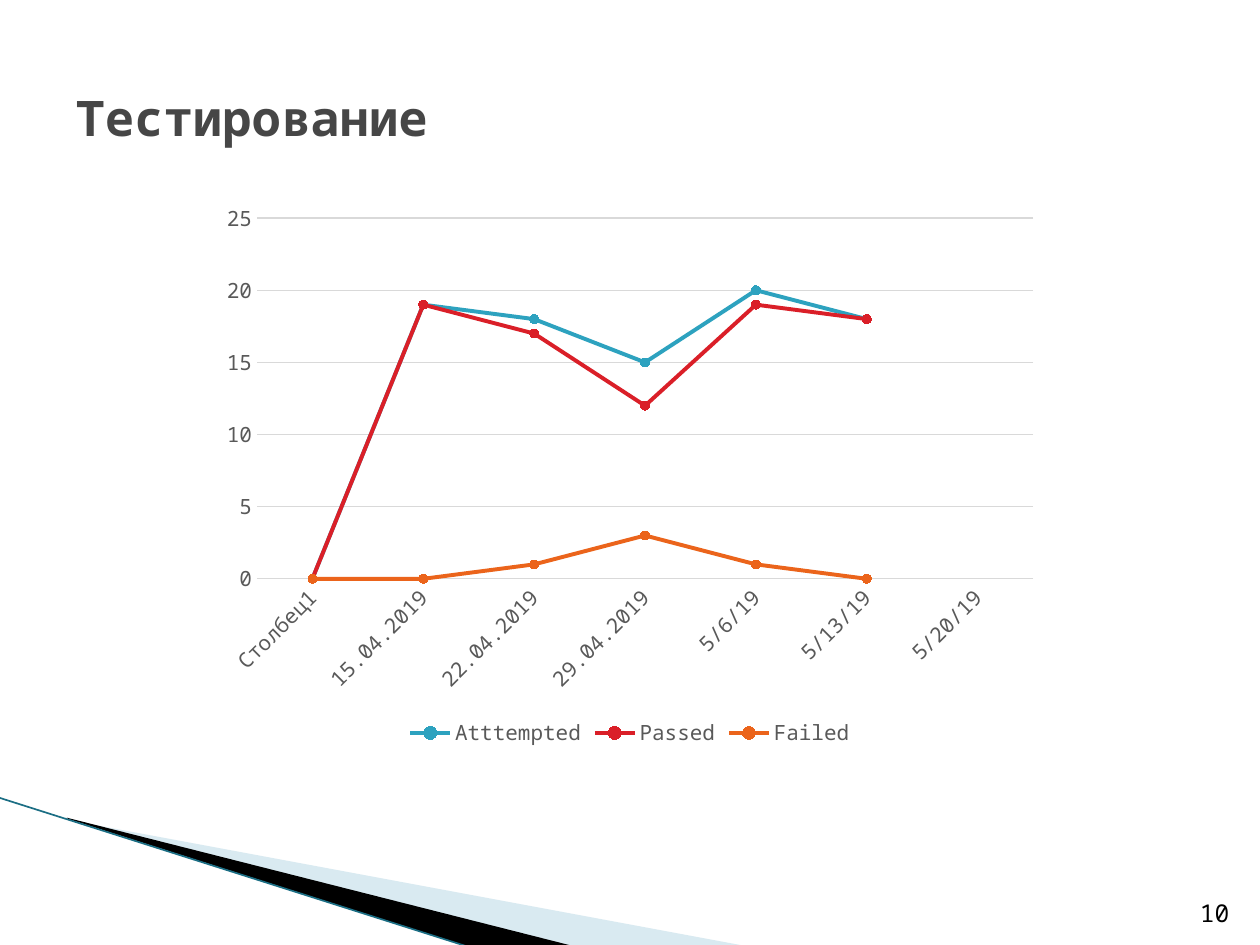
from dataclasses import dataclass

from lxml.etree import SubElement
from pptx import Presentation
from pptx.chart.data import CategoryChartData
from pptx.dml.color import RGBColor
from pptx.enum.chart import XL_CHART_TYPE, XL_LEGEND_POSITION, XL_MARKER_STYLE, XL_TICK_MARK
from pptx.enum.shapes import MSO_CONNECTOR
from pptx.enum.text import MSO_ANCHOR, PP_ALIGN
from pptx.oxml.ns import qn
from pptx.util import Pt


@dataclass(frozen=True)
class Theme:
    face: str = "Noto Sans Mono"
    title: str = "464646"
    text: str = "000000"
    label: str = "595959"
    grid: str = "D9D9D9"
    pale: str = "A0CBDC"
    dark: str = "000000"
    edge: str = "1B6E84"
    lines: tuple = ("2DA2BF", "DA1F28", "EB641B")
    head: int = 28
    page: int = 14
    small: int = 12
    base: int = 10


THEME = Theme()
DATES = ["Столбец1", "15.04.2019", "22.04.2019", "29.04.2019", "5/6/19", "5/13/19", "5/20/19"]
TESTS = {
    "Atttempted": [0, 19, 18, 15, 20, 18, None],
    "Passed": [0, 19, 17, 12, 19, 18, None],
    "Failed": [0, 0, 1, 3, 1, 0, None],
}


def apply(item, form):
    for name, value in form.items():
        setattr(item, name, value)


def style(font, size, color, bold=False):
    apply(font, {"name": THEME.face, "size": Pt(size), "bold": bold})
    font.color.rgb = RGBColor.from_string(color)


def stroke(line, color, width):
    line.color.rgb = RGBColor.from_string(color)
    line.width = Pt(width)


def place(shape, box):
    apply(shape, dict(zip(("left", "top", "width", "height"), map(Pt, box))))


def wedge(slide, box, spots, color, alpha=None):
    left, top = box[:2]
    spots = [(Pt(left + x), Pt(top + y)) for x, y in spots]
    build = slide.shapes.build_freeform(*spots[0], scale=1.0)
    build.add_line_segments(spots[1:], close=True)
    shape = build.convert_to_shape()
    shape.shadow.inherit = False
    shape.line.fill.background()
    shape.fill.solid()
    shape.fill.fore_color.rgb = RGBColor.from_string(color)
    if alpha:
        tint = shape.element.spPr.find(".//" + qn("a:srgbClr"))
        SubElement(tint, qn("a:alpha"), val=str(alpha * 1000))


def add_decor(slide, box):
    left, top, width, height = box
    wedge(slide, box, [(39.6, 12.7), (width, height), (328.3, height), (39.6, 12)], THEME.pale, 40)
    wedge(slide, box, [(38.2, 11.3), (329, height), (267.8, height), (38.9, 12)], THEME.dark)
    edge = slide.shapes.add_connector(
        MSO_CONNECTOR.STRAIGHT, Pt(left), Pt(top), Pt(left + 267.5), Pt(top + height)
    )
    stroke(edge.line, THEME.edge, 0.95)
    SubElement(edge.element.spPr, qn("a:effectLst"))


def add_title(slide, box, text):
    title = slide.shapes.title
    place(title, box)
    frame = title.text_frame
    apply(frame, {"text": text, "vertical_anchor": MSO_ANCHOR.MIDDLE, "word_wrap": True})
    frame.paragraphs[0].alignment = PP_ALIGN.LEFT
    style(frame.paragraphs[0].runs[0].font, THEME.head, THEME.title, True)


def add_page(slide, box, text):
    frame = slide.shapes.add_textbox(*map(Pt, box)).text_frame
    apply(frame, {"text": text, "vertical_anchor": MSO_ANCHOR.BOTTOM, "word_wrap": True})
    frame.paragraphs[0].alignment = PP_ALIGN.RIGHT
    style(frame.paragraphs[0].runs[0].font, THEME.page, THEME.text)


def add_graph(slide, box):
    data = CategoryChartData()
    data.categories = DATES
    for name, values in TESTS.items():
        data.add_series(name, values)
    chart = slide.shapes.add_chart(XL_CHART_TYPE.LINE_MARKERS, *map(Pt, box), data).chart
    apply(chart, {"has_title": False, "has_legend": True})
    style(chart.font, THEME.base, THEME.text)
    apply(chart.legend, {"position": XL_LEGEND_POSITION.BOTTOM, "include_in_layout": False})
    plot = chart.plots[0]
    plot.vary_by_categories = False

    ticks = {"major_tick_mark": XL_TICK_MARK.NONE, "minor_tick_mark": XL_TICK_MARK.NONE}
    dates, scale = chart.category_axis, chart.value_axis
    for axis in (dates, scale):
        apply(axis, ticks)
    for part in (dates.tick_labels, scale.tick_labels, chart.legend):
        style(part.font, THEME.small, THEME.label)
    apply(scale, {"minimum_scale": 0, "maximum_scale": 25, "major_unit": 5})
    scale.format.line.fill.background()
    for line in (dates.format.line, scale.major_gridlines.format.line):
        stroke(line, THEME.grid, 0.75)
    for body in chart.element.xpath(".//c:catAx/c:txPr/a:bodyPr"):
        body.set("rot", "-2700000")

    for row, color in zip(plot.series, THEME.lines):
        row.smooth = False
        stroke(row.format.line, color, 2.25)
        apply(row.marker, {"style": XL_MARKER_STYLE.CIRCLE, "size": 5})
        row.marker.format.fill.solid()
        row.marker.format.fill.fore_color.rgb = RGBColor.from_string(color)
        stroke(row.marker.format.line, color, 0.75)


def main():
    deck = Presentation()
    apply(deck, {"slide_width": Pt(720), "slide_height": Pt(540)})
    slide = deck.slides.add_slide(deck.slide_layouts[5])
    add_decor(slide, (0, 456, 428.4, 85))
    add_title(slide, (36, 21.6, 648, 90), "Тестирование")
    add_page(slide, (672, 504.5, 37.5, 28.8), "10")
    add_graph(slide, (120, 110, 480, 320))
    deck.save("out.pptx")


if __name__ == "__main__":
    main()
